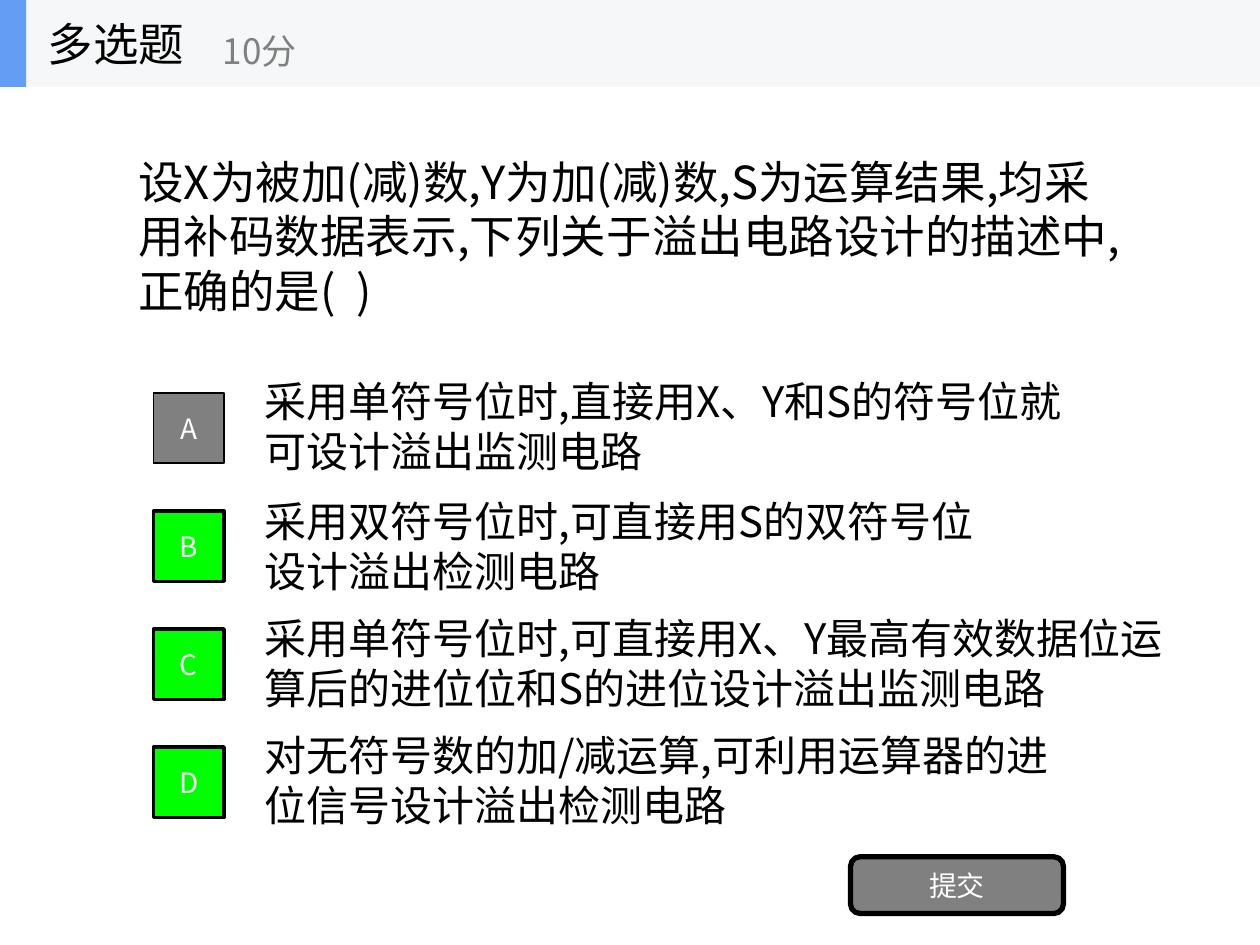
from dataclasses import dataclass

from lxml import etree
from pptx import Presentation
from pptx.dml.color import RGBColor
from pptx.enum import shapes, text
from pptx.oxml import ns
from pptx.util import Pt

FONT = "Noto Sans CJK SC"
BLACK = RGBColor(0x00, 0x00, 0x00)
WHITE = RGBColor(0xFF, 0xFF, 0xFF)
GREY = RGBColor(0x80, 0x80, 0x80)
GREEN = RGBColor(0x00, 0xFF, 0x00)
HEADER = RGBColor(0xF6, 0xF7, 0xF8)
ACCENT = RGBColor(0x63, 0x9E, 0xF4)

SLIDE_WIDTH, SLIDE_HEIGHT = 720, 540
HEADER_HEIGHT = 49.7
BOX_SIZE = 40.3
BOX_LEFT, FIRST_BOX_TOP, BOX_STEP = 87.8, 224.5, 67.45
OPTION_LEFT, OPTION_HEIGHT = 144, 64.8


@dataclass(frozen=True)
class Frame:
    left: float
    top: float
    width: float
    height: float

    def lengths(self) -> tuple:
        return Pt(self.left), Pt(self.top), Pt(self.width), Pt(self.height)


@dataclass(frozen=True)
class Option:
    letter: str
    wording: str
    top: float
    width: float
    fill: RGBColor = GREEN
    border: float = 2


OPTIONS = [
    Option("A", "采用单符号位时,直接用X、Y和S的符号位就可设计溢出监测电路", 211, 474.5, GREY, 1),
    Option("B", "采用双符号位时,可直接用S的双符号位设计溢出检测电路", 279.4, 441.4),
    Option("C", "采用单符号位时,可直接用X、Y最高有效数据位运算后的进位位和S的进位设计溢出监测电路",
           346.3, 550.8),
    Option("D", "对无符号数的加/减运算,可利用运算器的进位信号设计溢出检测电路", 413.3, 484.6),
]


def write(shape, wording: str, size: float, color: RGBColor,
          align=text.PP_ALIGN.LEFT, wrap: bool = True) -> None:
    frame = shape.text_frame
    frame.text = wording
    frame.word_wrap = wrap
    frame.auto_size = text.MSO_AUTO_SIZE.NONE
    frame.vertical_anchor = text.MSO_ANCHOR.MIDDLE
    paragraph = frame.paragraphs[0]
    paragraph.alignment = align
    for run in paragraph.runs:
        run.font.name = FONT
        run.font.size = Pt(size)
        run.font.color.rgb = color
        east_asian = etree.SubElement(run.font._element, ns.qn("a:ea"))
        east_asian.set("typeface", FONT)


def add_text(slide, frame: Frame, wording: str, size: float,
             color: RGBColor = BLACK, wrap: bool = True) -> None:
    box = slide.shapes.add_textbox(*frame.lengths())
    write(box, wording, size, color, wrap=wrap)
    if wrap:
        box.text_frame.auto_size = text.MSO_AUTO_SIZE.SHAPE_TO_FIT_TEXT


def add_block(slide, frame: Frame, fill: RGBColor, border: float = 0,
              label: str = "", kind=shapes.MSO_SHAPE.RECTANGLE) -> None:
    block = slide.shapes.add_shape(kind, *frame.lengths())
    block.shadow.inherit = False
    block.fill.solid()
    block.fill.fore_color.rgb = fill
    if border:
        block.line.color.rgb = BLACK
        block.line.width = Pt(border)
    else:
        block.line.fill.background()
    if label:
        write(block, label, 16, WHITE, text.PP_ALIGN.CENTER)


def add_header(slide) -> None:
    add_block(slide, Frame(0, 0, SLIDE_WIDTH, HEADER_HEIGHT), HEADER)
    add_block(slide, Frame(0, 0, 15, HEADER_HEIGHT), ACCENT)
    title = slide.shapes.title
    title.left, title.top, title.width, title.height = Frame(20.2, 0, 150, HEADER_HEIGHT).lengths()
    write(title, "多选题", 26, BLACK, wrap=False)
    # Bring the title in front of the header band
    title.element.getparent().append(title.element)
    add_text(slide, Frame(120.2, 8.6, 180, 40.3), "10分", 20, GREY, wrap=False)


def add_option(slide, index: int, option: Option) -> None:
    add_text(slide, Frame(OPTION_LEFT, option.top, option.width, OPTION_HEIGHT),
             option.wording, 24)
    box_top = FIRST_BOX_TOP + index * BOX_STEP
    add_block(slide, Frame(BOX_LEFT, box_top, BOX_SIZE, BOX_SIZE),
              option.fill, option.border, option.letter)


def main() -> None:
    presentation = Presentation()
    presentation.slide_width = Pt(SLIDE_WIDTH)
    presentation.slide_height = Pt(SLIDE_HEIGHT)
    slide = presentation.slides.add_slide(presentation.slide_layouts.get_by_name("Title Only"))

    add_text(slide, Frame(72, 84.2, 573, 100.8),
             "设X为被加(减)数,Y为加(减)数,S为运算结果,均采用补码数据表示,"
             "下列关于溢出电路设计的描述中,正确的是(  )", 26)
    for index, option in enumerate(OPTIONS):
        add_option(slide, index, option)
    add_block(slide, Frame(486, 489.6, 121.7, 32.4), GREY, 3, "提交",
              shapes.MSO_SHAPE.ROUNDED_RECTANGLE)
    add_header(slide)
    presentation.save("out.pptx")


if __name__ == "__main__":
    main()
